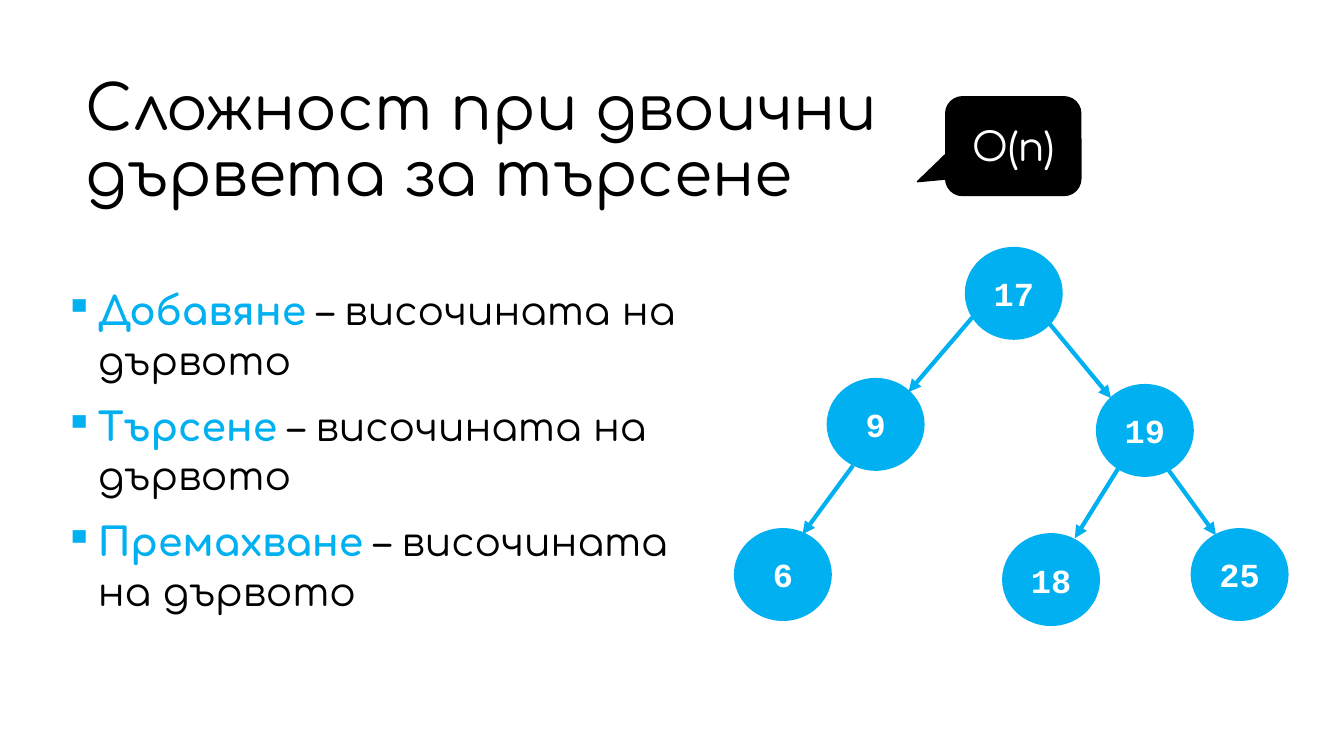
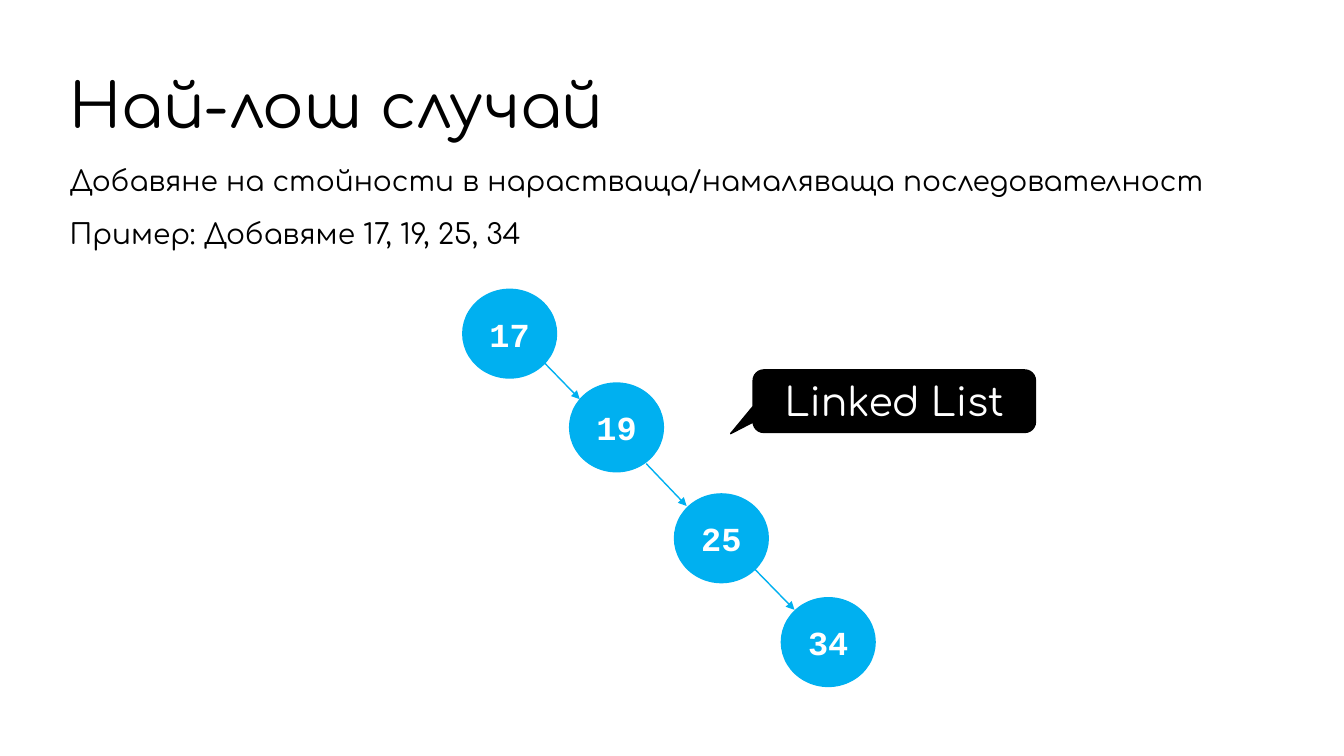
"""Builds two slides on the complexity of binary search trees."""
import pptx
import pptx.dml.color
import pptx.enum.shapes
import pptx.enum.text
import pptx.oxml.ns
import pptx.util
from lxml import etree

Inches, Pt = pptx.util.Inches, pptx.util.Pt
SHAPE = pptx.enum.shapes.MSO_SHAPE
ANCHOR = pptx.enum.text.MSO_ANCHOR
CENTER = pptx.enum.text.PP_ALIGN.CENTER

COLORS = {"text": "000000", "accent": "00B0F0", "light": "FFFFFF"}
FORMATS = {
    "title": {"name": "Comfortaa", "size": Pt(44), "color": "text"},
    "bullet": {"name": "Comfortaa", "size": Pt(28), "color": "text", "bold": False},
    "term": {"name": "Comfortaa", "size": Pt(28), "color": "accent", "bold": True},
    "plain": {"name": "Comfortaa", "size": Pt(20), "color": "text"},
    "callout": {"name": "Comfortaa", "size": Pt(28), "color": "light"},
    "node": {"name": "Courier New", "size": Pt(24), "color": "light", "bold": True},
}
NODE_SIZE = (0.93, 0.88)
BULLET_INDENT = 0.33

SLIDES = [
    {
        "title": ("Сложност при двоични дървета за търсене", (0.73, 0.55, 8.94, 1.75)),
        "body_at": (0.52, 2.78, 6.44, 4),
        "bulleted": True,
        "body": [
            [("Добавяне", "term"), (" – височината на дървото", "bullet")],
            [("Търсене", "term"), (" – височината на дървото", "bullet")],
            [("Премахване", "term"), (" – височината на дървото", "bullet")],
        ],
        "callout": ("O(n)", (9.38, 0.96, 1.34, 0.98), (-0.71, 0.36, 0.17)),
        "line_width": 3,
        "nodes": [
            ("17", 9.59, 2.47), ("19", 10.89, 3.83), ("9", 8.22, 3.77),
            ("6", 7.3, 5.26), ("18", 9.96, 5.31), ("25", 11.83, 5.26),
        ],
        "arrows": [
            (9.66, 3.13, 9.01, 3.89), (8.46, 4.62, 7.96, 5.3),
            (11.12, 4.6, 10.66, 5.34), (10.4, 3.2, 11.02, 3.95),
            (11.58, 4.65, 12.06, 5.31),
        ],
    },
    {
        "title": ("Най-лош случай", (0.57, 0.47, 10.21, 1.21)),
        "body_at": (0.57, 1.57, 11.98, 1.56),
        "bulleted": False,
        "body": [
            [("Добавяне на стойности в нарастваща/намаляваща последователност", "plain")],
            [("Пример: Добавяме 17, 19, 25, 34", "plain")],
        ],
        "callout": ("Linked List", (7.47, 3.67, 2.8, 0.62), (-0.58, 0.52, 0.17)),
        "line_width": 1,
        "nodes": [
            ("17", 4.59, 2.87), ("19", 5.65, 3.8),
            ("25", 6.69, 4.9), ("34", 7.75, 5.93),
        ],
        "arrows": [
            (5.4, 3.6, 5.75, 3.96), (6.41, 4.6, 6.81, 5.02), (7.47, 5.63, 7.88, 6.05),
        ],
    },
]


def rgb(name):
    return pptx.dml.color.RGBColor.from_string(COLORS[name])


def add_element(parent, tag, **attributes):
    return etree.SubElement(parent, pptx.oxml.ns.qn(tag), attributes)


def add_span(para, text, style):
    span = para.add_run()
    span.text = text
    for key, value in FORMATS[style].items():
        if key == "color":
            span.font.color.rgb = rgb(value)
        else:
            setattr(span.font, key, value)


def add_bullet(para):
    properties = para._p.get_or_add_pPr()
    properties.set("marL", str(Inches(BULLET_INDENT)))
    properties.set("indent", str(-Inches(BULLET_INDENT)))
    color = add_element(properties, "a:buClr")
    add_element(color, "a:srgbClr", val=COLORS["accent"])
    add_element(properties, "a:buChar", char="▪")


def add_text(page, place, paragraphs, spacing, anchor=ANCHOR.TOP, bulleted=False):
    frame = page.shapes.add_textbox(*map(Inches, place)).text_frame
    settings = {
        "word_wrap": True, "vertical_anchor": anchor,
        "margin_left": Inches(0.12), "margin_right": Inches(0.12),
        "margin_top": Inches(0.04), "margin_bottom": Inches(0.04),
    }
    for key, value in settings.items():
        setattr(frame, key, value)
    for index, spans in enumerate(paragraphs):
        para = frame.add_paragraph() if index else frame.paragraphs[0]
        if bulleted:
            add_bullet(para)
        para.line_spacing = spacing
        if index:
            para.space_before = Pt(12)
        for text, style in spans:
            add_span(para, text, style)


def add_label(page, kind, place, text, style, color, width):
    box = page.shapes.add_shape(kind, *map(Inches, place))
    box.shadow.inherit = False
    box.fill.solid()
    box.fill.fore_color.rgb = rgb(color)
    box.line.color.rgb = rgb(color)
    box.line.width = Pt(width)
    box.text_frame.vertical_anchor = ANCHOR.MIDDLE
    para = box.text_frame.paragraphs[0]
    para.alignment = CENTER
    add_span(para, text, style)
    return box


def add_arrow(page, ends, width):
    straight = pptx.enum.shapes.MSO_CONNECTOR.STRAIGHT
    arrow = page.shapes.add_connector(straight, *map(Inches, ends))
    arrow.line.color.rgb = rgb("accent")
    arrow.line.width = Pt(width)
    add_element(arrow.line._get_or_add_ln(), "a:tailEnd", type="triangle")
    add_element(arrow._element.spPr, "a:effectLst")


def build_slide(deck, content):
    page = deck.slides.add_slide(deck.slide_layouts[6])
    add_text(page, content["body_at"], content["body"], 1.05, bulleted=content["bulleted"])
    title, place = content["title"]
    add_text(page, place, [[(title, "title")]], 0.9, ANCHOR.MIDDLE)
    text, place, adjustments = content["callout"]
    callout = add_label(page, SHAPE.ROUNDED_RECTANGULAR_CALLOUT, place, text, "callout", "text", 1)
    for index, value in enumerate(adjustments):
        callout.adjustments[index] = value
    width = content["line_width"]
    for text, left, top in content["nodes"]:
        add_label(page, SHAPE.OVAL, (left, top, *NODE_SIZE), text, "node", "accent", width)
    for ends in content["arrows"]:
        add_arrow(page, ends, width)


def main():
    deck = pptx.Presentation()
    deck.slide_width, deck.slide_height = Inches(13.33), Inches(7.5)
    for content in SLIDES:
        build_slide(deck, content)
    deck.save("out.pptx")


if __name__ == "__main__":
    main()
